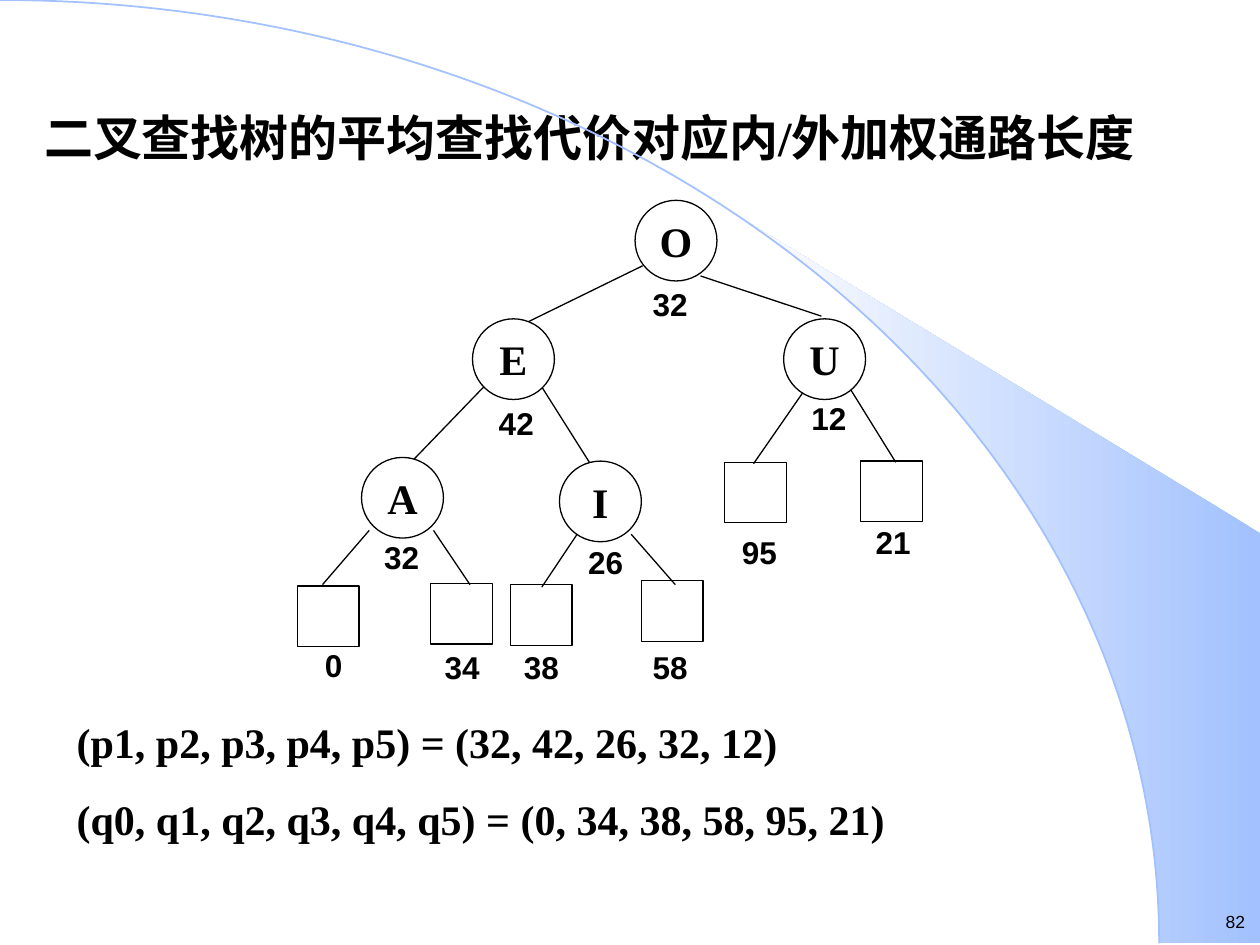
"""Build a slide that shows a weighted binary search tree and its search costs."""
import math

from lxml import etree
from pptx import Presentation
from pptx import util as u
from pptx.dml import color
from pptx.enum import shapes, text
from pptx.oxml import ns

BLACK, WHITE, SKY, PALE = "000000", "FFFFFF", "A2C1FE", "FEFEFE"
SERIF, SANS = "Times New Roman", "Arial"
WIDTH, HEIGHT = 720, 540
ARC_X, ARC_Y = 662.4, 539
CIRCLE, SQUARE = (46.8, 46.1), (35.3, 34.6)

NODES = [
    ("O", 362.9, 114.5),
    ("E", 270, 182.2),
    ("U", 447.8, 182.2),
    ("A", 206.6, 261.4),
    ("I", 319.7, 263.5),
]
LEAVES = [
    (169.9, 334.8), (246.2, 333.4), (291.6, 334.1),
    (366.5, 331.9), (414, 264.2), (491.8, 263.5),
]
EDGES = [
    (367.2, 151.9, 301, 184.3), (400.3, 157.7, 469.4, 180.7),
    (277.2, 220.3, 236.2, 262.8), (308.2, 218.9, 339.1, 267.8),
    (458.6, 224.6, 430.6, 265), (486, 222.5, 511.9, 264.2),
    (211, 303.1, 184.3, 334.1), (247.7, 303.1, 268.6, 334.1),
    (329.8, 305.3, 309.6, 335.5), (360.7, 305.3, 385.9, 334.1),
]
WEIGHTS = [
    ("32", 365.8, 159.1, 48.2), ("42", 277.9, 227.5, 39.6),
    ("12", 456.5, 224.6, 39.6), ("32", 212.4, 303.8, 39.6),
    ("26", 329, 306.7, 42.5), ("0", 178.6, 365.8, 48.2),
    ("34", 247, 366.5, 39.6), ("38", 292.3, 366.5, 39.6),
    ("58", 365.8, 366.5, 39.6), ("95", 416.9, 301, 36.7),
    ("21", 493.2, 295.2, 36.7),
]
FORMULAS = [
    "(p1, p2, p3, p4, p5) = (32, 42, 26, 32, 12)",
    "(q0, q1, q2, q3, q4, q5) = (0, 34, 38, 58, 95, 21)",
]


def rgb(value):
    return color.RGBColor.from_string(value)


class TreeSlide:
    def __init__(self, slide, line_width=0.75):
        self.slide = slide
        self.line_width = line_width

    def fill_text(self, frame, lines, size, name=SERIF, bold=True,
                  align=text.PP_ALIGN.LEFT, gap=0, insets=(7.2, 3.6)):
        frame.word_wrap = True
        frame.auto_size = text.MSO_AUTO_SIZE.NONE
        frame.margin_left = frame.margin_right = u.Pt(insets[0])
        frame.margin_top = frame.margin_bottom = u.Pt(insets[1])
        for index, line in enumerate(lines):
            paragraph = frame.add_paragraph() if index else frame.paragraphs[0]
            paragraph.alignment = align
            paragraph.space_before = u.Pt(gap if index else 0)
            run = paragraph.add_run()
            run.text = line
            run.font.name = name
            run.font.size = u.Pt(size)
            run.font.bold = bold
            run.font.color.rgb = rgb(BLACK)

    def title(self, line, *box):
        shape = self.slide.shapes.title
        shape.left, shape.top, shape.width, shape.height = map(u.Pt, box)
        shape.text_frame.vertical_anchor = text.MSO_ANCHOR.TOP
        self.fill_text(shape.text_frame, [line], 28)

    def textbox(self, lines, box, size, **style):
        shape = self.slide.shapes.add_textbox(*map(u.Pt, box))
        self.fill_text(shape.text_frame, lines, size, **style)

    def shape(self, kind, left, top, size, letter=None):
        shape = self.slide.shapes.add_shape(kind, *map(u.Pt, (left, top, *size)))
        shape.shadow.inherit = False
        shape.fill.solid()
        shape.fill.fore_color.rgb = rgb(WHITE)
        shape.line.color.rgb = rgb(BLACK)
        shape.line.width = u.Pt(self.line_width)
        if letter:
            shape.text_frame.vertical_anchor = text.MSO_ANCHOR.MIDDLE
            self.fill_text(shape.text_frame, [letter], 24,
                           align=text.PP_ALIGN.CENTER, insets=(1.4, 0.7))

    def edge(self, *ends):
        line = self.slide.shapes.add_connector(
            shapes.MSO_CONNECTOR.STRAIGHT, *map(u.Pt, ends))
        line.line.color.rgb = rgb(BLACK)
        line.line.width = u.Pt(self.line_width)
        etree.SubElement(line._element.spPr, ns.qn("a:effectLst"))

    def wedge(self):
        curve = [(ARC_X * math.sin(angle), ARC_Y * (1 - math.cos(angle)))
                 for angle in (math.radians(degree) for degree in range(40, 91, 2))]
        outline = curve + [(WIDTH, HEIGHT - 1), (WIDTH, 304.6)]
        points = [(u.Pt(x), u.Pt(y)) for x, y in outline]
        builder = self.slide.shapes.build_freeform(*points[0])
        builder.add_line_segments(points[1:], close=True)
        shape = builder.convert_to_shape()
        shape.shadow.inherit = False
        shape.line.fill.background()
        shape.fill.gradient()
        shape.fill.gradient_angle = 180
        for stop, value in zip(shape.fill.gradient_stops, (SKY, PALE)):
            stop.color.rgb = rgb(value)

    def arc(self):
        shape = self.slide.shapes.add_shape(
            shapes.MSO_SHAPE.ARC, *map(u.Pt, (-ARC_X, 0, 2 * ARC_X, 2 * ARC_Y)))
        shape.shadow.inherit = False
        shape.fill.background()
        shape.line.color.rgb = rgb(SKY)
        shape.line.width = u.Pt(1)


def main():
    presentation = Presentation()
    presentation.slide_width, presentation.slide_height = u.Pt(WIDTH), u.Pt(HEIGHT)
    page = TreeSlide(presentation.slides.add_slide(presentation.slide_layouts[5]))
    page.wedge()
    page.arc()
    page.title("二叉查找树的平均查找代价对应内/外加权通路长度", 18, 57.6, 671, 56.2)
    page.textbox(FORMULAS, (36.7, 406.1, 569.5, 79.9), 24, gap=15)
    for leaf in LEAVES:
        page.shape(shapes.MSO_SHAPE.RECTANGLE, *leaf, SQUARE)
    for edge in EDGES:
        page.edge(*edge)
    for letter, left, top in NODES:
        page.shape(shapes.MSO_SHAPE.OVAL, left, top, CIRCLE, letter)
    for weight, left, top, width in WEIGHTS:
        page.textbox([weight], (left, top, width, 28.8), 18, name=SANS)
    page.textbox(["82"], (677.5, 517, 35.3, 19.4), 10, name=SANS, bold=False,
                 align=text.PP_ALIGN.RIGHT, insets=(1.4, 3.6))
    presentation.save("out.pptx")


if __name__ == "__main__":
    main()
